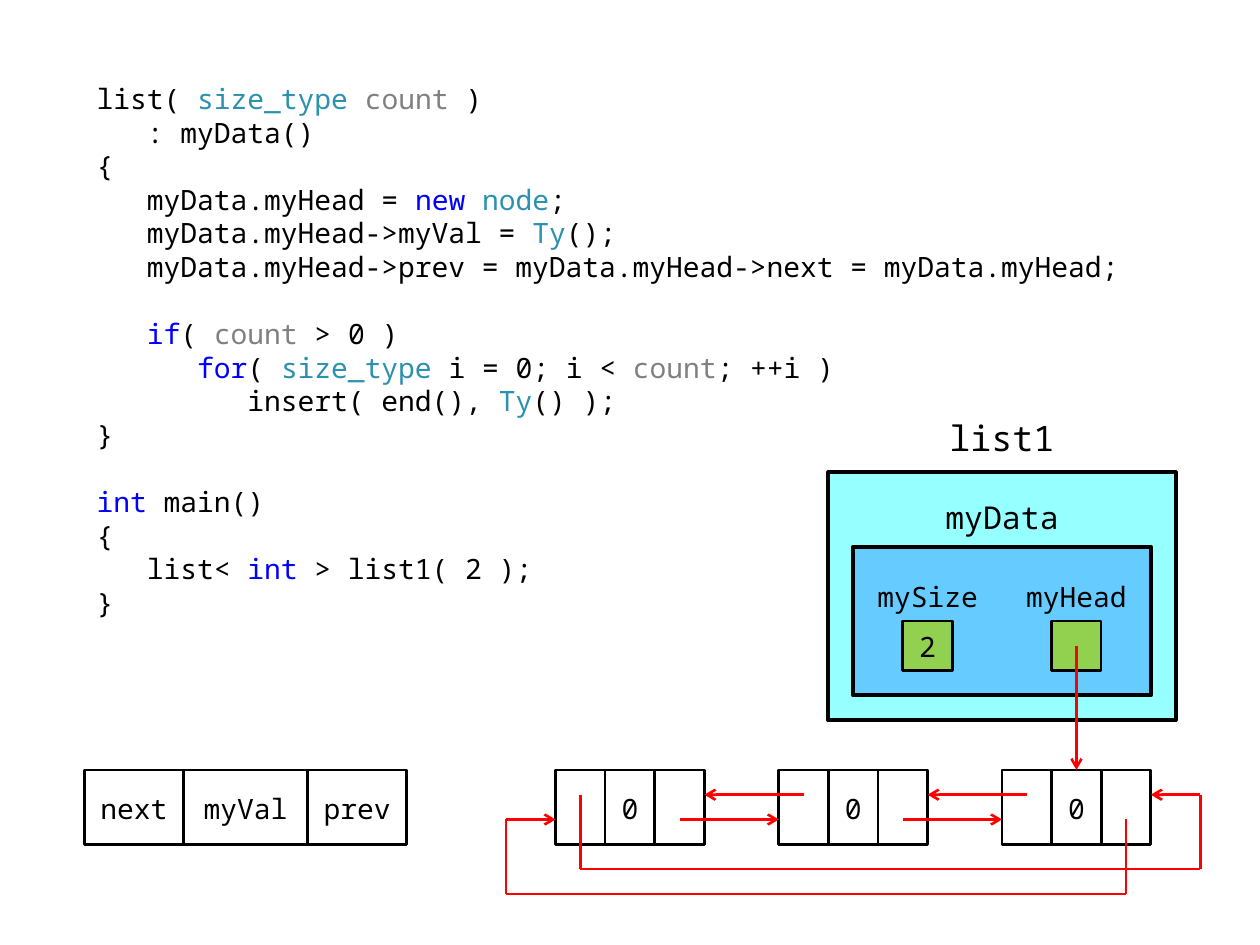
from itertools import pairwise

from pptx import Presentation
from pptx.dml.color import RGBColor
from pptx.enum.shapes import MSO_CONNECTOR, MSO_SHAPE
from pptx.enum.text import MSO_ANCHOR, PP_ALIGN
from pptx.oxml.ns import qn
from pptx.util import Cm, Pt
from lxml.etree import SubElement

BLACK = RGBColor(0x00, 0x00, 0x00)
GRAY = RGBColor(0x80, 0x80, 0x80)
TEAL = RGBColor(0x2B, 0x91, 0xAF)
BLUE = RGBColor(0x00, 0x00, 0xFF)
RED = RGBColor(0xFF, 0x00, 0x00)
CYAN = RGBColor(0x96, 0xFF, 0xFF)
SKY = RGBColor(0x66, 0xCC, 0xFF)
GREEN = RGBColor(0x92, 0xD0, 0x50)
FONT = "Noto Sans Mono"
LINE_PITCH = Pt(19.2)
NODE_HEIGHT = 1.5
NODE_STEP = 4.5

CODE_SECTIONS = [
    [
        [("list( ", BLACK), ("size_type ", TEAL), ("count", GRAY), (" )", BLACK)],
        [("   : myData()", BLACK)],
        [("{", BLACK)],
        [("   myData.myHead = ", BLACK), ("new ", BLUE), ("node", TEAL), (";", BLACK)],
        [("   myData.myHead->myVal = ", BLACK), ("Ty", TEAL), ("();", BLACK)],
        [("   myData.myHead->prev = myData.myHead->next = myData.myHead;", BLACK)],
    ],
    [
        [("   ", BLACK), ("if", BLUE), ("( ", BLACK), ("count", GRAY), (" > 0 )", BLACK)],
        [("      ", BLACK), ("for", BLUE), ("( ", BLACK), ("size_type", TEAL),
         (" i = 0; i < ", BLACK), ("count", GRAY), ("; ++i )", BLACK)],
        [("         insert( end(), ", BLACK), ("Ty", TEAL), ("() );", BLACK)],
        [("}", BLACK)],
    ],
    [
        [("int", BLUE), (" main()", BLACK)],
        [("{", BLACK)],
        [("   list< ", BLACK), ("int", BLUE), (" > list1( 2 );", BLACK)],
        [("}", BLACK)],
    ],
]


def add_run(paragraph, text, size=16, color=BLACK):
    run = paragraph.add_run()
    run.text = text
    run.font.name = FONT
    run.font.size = Pt(size)
    run.font.color.rgb = color


def write_centered(frame, text, size, insets):
    frame.word_wrap = True
    frame.vertical_anchor = MSO_ANCHOR.MIDDLE
    side, top, bottom = insets
    frame.margin_left = frame.margin_right = Cm(side)
    frame.margin_top, frame.margin_bottom = Cm(top), Cm(bottom)
    paragraph = frame.paragraphs[0]
    paragraph.alignment = PP_ALIGN.CENTER
    add_run(paragraph, text, size)


def add_label(slide, left, top, width, height, text, size=16, insets=(0.1, 0.13, 0.13)):
    label = slide.shapes.add_textbox(Cm(left), Cm(top), Cm(width), Cm(height))
    write_centered(label.text_frame, text, size, insets)


def add_box(slide, left, top, width, height, text="", fill=None, weight=1.5,
            kind=MSO_SHAPE.RECTANGLE, insets=(0.25, 0.15, 0.1)):
    box = slide.shapes.add_shape(kind, Cm(left), Cm(top), Cm(width), Cm(height))
    box.shadow.inherit = False
    if fill is None:
        box.fill.background()
    else:
        box.fill.solid()
        box.fill.fore_color.rgb = fill
    box.line.color.rgb = BLACK
    box.line.width = Pt(weight)
    if text:
        write_centered(box.text_frame, text, 16, insets)
    return box


def add_path(slide, *points, arrow=True):
    segments = []
    for start, end in pairwise(points):
        segment = slide.shapes.add_connector(
            MSO_CONNECTOR.STRAIGHT, *(Cm(value) for value in start + end))
        segment.line.color.rgb = RED
        segment.line.width = Pt(1.5)
        SubElement(segment._element.spPr, qn("a:effectLst"))
        segments.append(segment)
    if arrow:
        SubElement(segments[-1].line._get_or_add_ln(), qn("a:tailEnd"), type="arrow")
    return segments[-1]


def draw_code(slide, left, top, width, height):
    frame = slide.shapes.add_textbox(Cm(left), Cm(top), Cm(width), Cm(height)).text_frame
    frame.word_wrap = True
    for section_index, section in enumerate(CODE_SECTIONS):
        for line_index, line in enumerate(section):
            first = section_index == line_index == 0
            paragraph = frame.paragraphs[0] if first else frame.add_paragraph()
            paragraph.line_spacing = LINE_PITCH
            if section_index and not line_index:
                paragraph.space_before = LINE_PITCH
            for text, color in line:
                add_run(paragraph, text, color=color)


def draw_node(slide, left, top, fields):
    cells = []
    for text, width in fields:
        cells.append(add_box(slide, left, top, width, NODE_HEIGHT, text))
        left += width
    return cells


def draw_list_object(slide, left, top, width, height):
    center = left + width / 2
    data_left, data_top = left + 0.5, top + 1.5
    add_label(slide, center - 1.5, top - 1.5, 3, 1.5, "list1", 20, (0.2, 0.1, 0))
    add_box(slide, left, top, width, height, fill=CYAN, weight=2.25,
            kind=MSO_SHAPE.FLOWCHART_PROCESS)
    add_label(slide, center - 1.5, top, 3, 1.5, "myData", 18, (0.2, 0.3, 0))
    add_box(slide, data_left, data_top, width - 1, height - 2, fill=SKY, weight=2.25,
            kind=MSO_SHAPE.FLOWCHART_PROCESS)
    for column, (member, value) in enumerate([("mySize", "2"), ("myHead", "")]):
        member_left = data_left + 3 * column
        add_label(slide, member_left, data_top + 0.5, 3, 1, member)
        add_box(slide, member_left + 1, data_top + 1.5, 1, 1, value, GREEN,
                insets=(0.25, 0.13, 0.13))
    return data_left + 4.5, data_top + 2


def draw_chain(slide, left, top, head_pointer):
    lefts = [left + NODE_STEP * index for index in range(3)]
    nodes = [draw_node(slide, node_left, top, [("", 1), ("0", 1), ("", 1)])
             for node_left in lefts]
    upper, lower = top + 0.5, top + 1
    for near, far in pairwise(lefts):
        add_path(slide, (near + 2.5, lower), (far, lower))
        add_path(slide, (far + 0.5, upper), (near + 3, upper))

    first, last = lefts[0], lefts[-1]
    add_path(slide, (last + 2.5, lower), (last + 2.5, top + 2.5),
             (first - 1, top + 2.5), (first - 1, lower), (first, lower))
    add_path(slide, (first + 0.5, upper), (first + 0.5, top + 2),
             (last + 4, top + 2), (last + 4, upper), (last + 3, upper))

    head_link = add_path(slide, head_pointer, (last + 1.5, top))
    head_link.end_connect(nodes[-1][1], 0)


def main():
    presentation = Presentation()
    presentation.slide_width, presentation.slide_height = Cm(25.4), Cm(19.05)
    slide = presentation.slides.add_slide(presentation.slide_layouts[6])
    draw_code(slide, 1.7, 1.52, 22, 11)
    draw_node(slide, 1.7, 15.52, [("next", 2), ("myVal", 2.5), ("prev", 2)])
    head_pointer = draw_list_object(slide, 16.7, 9.52, 7, 5)
    draw_chain(slide, 11.2, 15.52, head_pointer)
    presentation.save("out.pptx")


if __name__ == "__main__":
    main()
